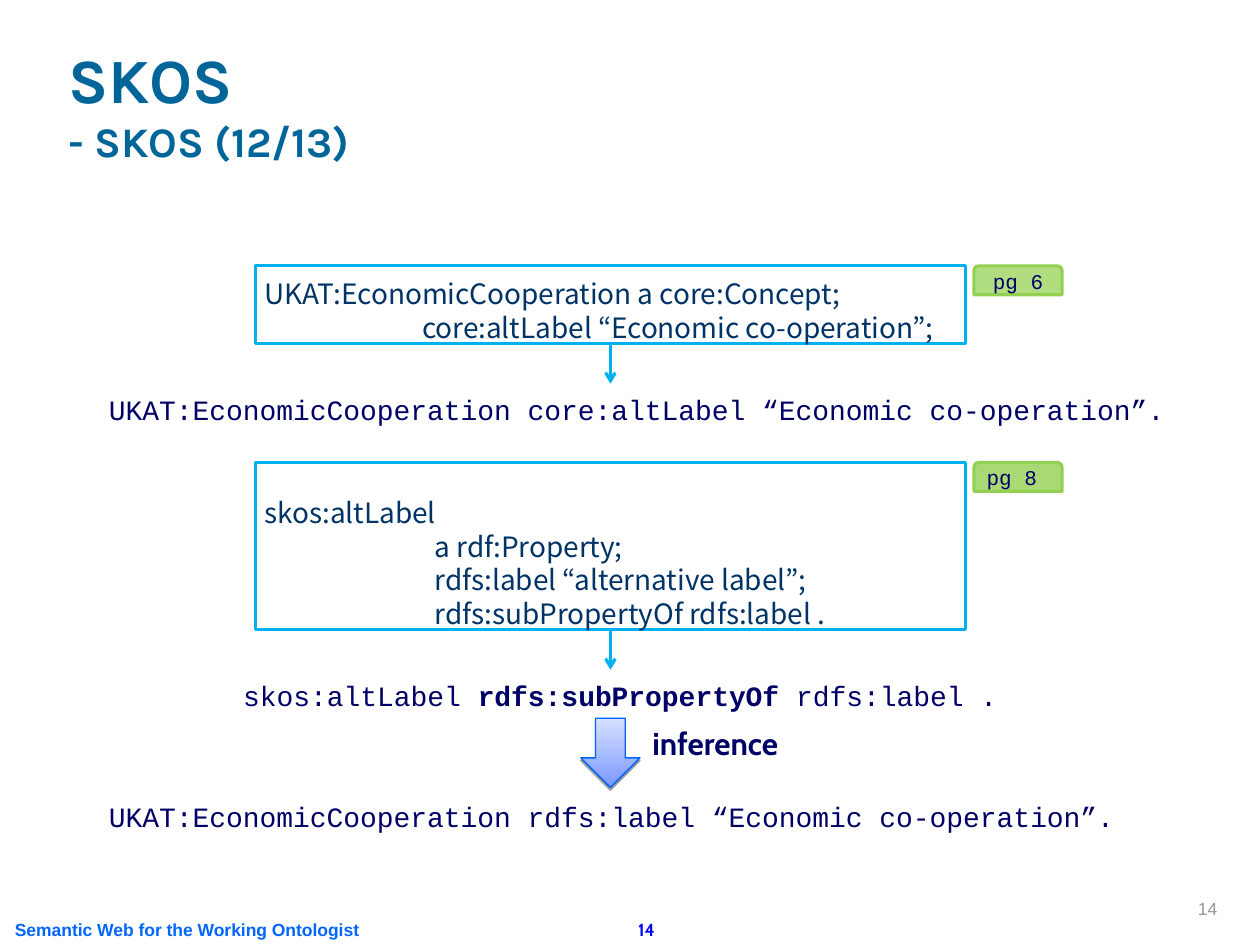
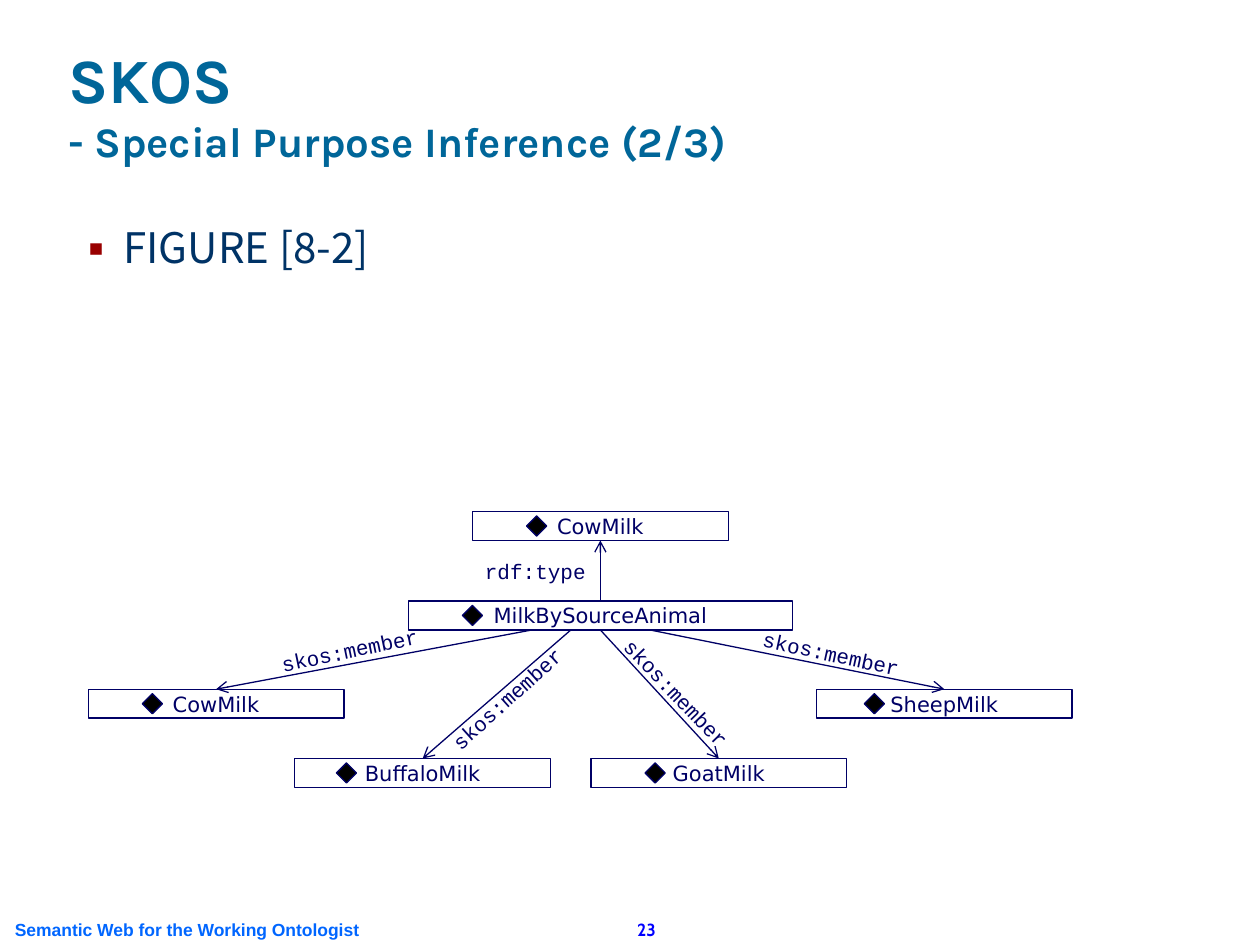
from lxml import etree
from pptx import Presentation
from pptx.dml.color import RGBColor
from pptx.enum.shapes import MSO_CONNECTOR, MSO_SHAPE as SHAPE
from pptx.enum.text import MSO_ANCHOR as ANCHOR, MSO_AUTO_SIZE as AUTO, PP_ALIGN as ALIGN
from pptx.oxml import parse_xml
from pptx.oxml.ns import nsdecls, qn
from pptx.util import Inches, Pt

# Grid: 100 columns by 75 rows, square cells
SLIDE_W, SLIDE_H = Inches(10), Inches(7.5)
CELL = SLIDE_W / 100

NAVY, TEXT, TITLE = "000066", "003366", "006699"
CYAN, GREEN, BULLET = "00B0F0", "92D050", "990000"
FOOT, NUMBER, GRAY = "0066FF", "0000FF", "969696"
HEAD, SANS, MONO = "Karla", "Noto Sans CJK KR", "Courier New"
LABEL, ACCENT, PLAIN = "DejaVu Sans", "Cabin", "Arial"
PAD = (1, 0.5, 1, 0.5)


def rgb(color):
    return RGBColor.from_string(color)


def cells(*lengths):
    return [round(n * CELL) for n in lengths]


def move(sp, box):
    sp.left, sp.top, sp.width, sp.height = cells(*box)


def add_run(p, text, font, size, color, bold=False):
    r = p.add_run()
    r.text = text
    f = r.font
    f.name, f.size, f.bold = font, Pt(size), bold
    f.color.rgb = rgb(color)


def frame(sp, anchor=ANCHOR.MIDDLE, pad=PAD, wrap=True):
    tf = sp.text_frame
    tf.word_wrap, tf.auto_size, tf.vertical_anchor = wrap, AUTO.NONE, anchor
    tf.margin_left, tf.margin_top, tf.margin_right, tf.margin_bottom = cells(*pad)
    return tf


def add_text(slide, box, runs, align=ALIGN.LEFT, anchor=ANCHOR.MIDDLE,
             pad=PAD, wrap=True, rotation=0):
    sp = slide.shapes.add_textbox(*cells(*box))
    sp.rotation = rotation
    p = frame(sp, anchor, pad, wrap).paragraphs[0]
    p.alignment = align
    for run in runs:
        add_run(p, *run)


def add_block(shapes, kind, box, line, width, fill=None):
    sp = shapes.add_shape(kind, *cells(*box))
    sp.shadow.inherit = False
    if fill:
        sp.fill.solid()
        sp.fill.fore_color.rgb = rgb(fill)
    else:
        sp.fill.background()
    sp.line.color.rgb = rgb(line)
    sp.line.width = Pt(width)
    return sp


def add_arrow(slide, start, end, color, width):
    cxn = slide.shapes.add_connector(MSO_CONNECTOR.STRAIGHT, *cells(*start, *end))
    cxn.line.color.rgb = rgb(color)
    cxn.line.width = Pt(width)
    etree.SubElement(cxn.line._get_or_add_ln(), qn("a:tailEnd"), type="arrow")
    etree.SubElement(cxn._element.spPr, qn("a:effectLst"))
    return cxn


# Shared parts
def add_page(prs, layout, subtitle, number):
    slide = prs.slides.add_slide(prs.slide_layouts[layout])
    title = slide.shapes.title
    move(title, (4.4, 1.2, 85, 12.5))
    p = frame(title, ANCHOR.BOTTOM).paragraphs[0]
    p.alignment = ALIGN.LEFT
    add_run(p, "SKOS", HEAD, 36, TITLE, True)
    p.add_line_break()
    add_run(p, subtitle, HEAD, 24, TITLE, True)
    add_footer(slide, (0.2, 72.4, 99.6, 2.7), number)
    return slide


def add_footer(slide, box, number):
    x, y, w, h = box
    add_text(slide, (x, y, 29.3, h),
             [("Semantic Web for the Working Ontologist", PLAIN, 10, FOOT, True)],
             wrap=False)
    add_text(slide, (x + 46.7, y, 8.8, h),
             [(number, ACCENT, 10, NUMBER, True)], ALIGN.CENTER)


# Code box with its page tab, and the triple that follows from it
def add_code_step(slide, box, lines, tab, result, result_x):
    x, y, w, h = box
    code = add_block(slide.shapes, SHAPE.RECTANGLE, box, CYAN, 1.75)
    tf = frame(code, ANCHOR.BOTTOM, (0.7, 0, 0, 0))
    for i, (text, indent) in enumerate(lines):
        p = tf.add_paragraph() if i else tf.paragraphs[0]
        p.alignment = ALIGN.LEFT
        p._p.get_or_add_pPr().set("marL", str(cells(indent)[0]))
        add_run(p, text, SANS, 16, TEXT)

    page, opacity, shift = tab
    sp = add_block(slide.shapes, SHAPE.ROUND_2_SAME_RECTANGLE,
                   (x + w + 0.7, y, 7, 2.3), GREEN, 1.75, GREEN)
    color = sp.fill._xPr.find(qn("a:solidFill"))[0]
    etree.SubElement(color, qn("a:alpha"), val=str(opacity * 1000))
    p = frame(sp, pad=(0, 0, shift, 0)).paragraphs[0]
    p.alignment = ALIGN.CENTER
    add_run(p, page, MONO, 12, NAVY)

    middle, bottom = x + w / 2, y + h
    cxn = add_arrow(slide, (middle, bottom), (middle, bottom + 3.15), CYAN, 1.75)
    cxn.begin_connect(code, 2)
    add_triple(slide, (result_x, bottom + 3.65, 88, 3), result)


def add_triple(slide, box, parts):
    runs = [(text, MONO, 16, NAVY, bold) for text, bold in parts]
    add_text(slide, box, runs, pad=(0, 0, 0, 0), wrap=False)


# Block arrow with its label
def add_inference(slide, box):
    x, y, w, h = box
    sp = add_block(slide.shapes, SHAPE.DOWN_ARROW, (x, y, 4.7, h), "0062FF", 0.75)
    sp.fill.gradient()
    sp.fill.gradient_angle = 90
    for stop, color in zip(sp.fill.gradient_stops, ("7898FF", "D7E0FF")):
        stop.color.rgb = rgb(color)
    sp._element.spPr.find(qn("a:effectLst")).append(parse_xml(
        f'<a:outerShdw {nsdecls("a")} blurRad="0" dist="{Pt(1.6)}" dir="5400000" '
        'rotWithShape="0"><a:srgbClr val="000000"><a:alpha val="38000"/>'
        '</a:srgbClr></a:outerShdw>'))
    add_text(slide, (x + 4.7, y, w - 4.7, 4),
             [("inference", ACCENT, 18, NAVY, True)], anchor=ANCHOR.TOP)


def build_label_slide(prs):
    slide = add_page(prs, 5, "- SKOS (12/13)", "14")
    add_text(slide, (76.8, 68.4, 20.8, 5), [("14", PLAIN, 10, GRAY)],
             ALIGN.RIGHT, ANCHOR.BOTTOM)
    add_code_step(
        slide, (20.3, 21.1, 56.3, 6.2),
        [("UKAT:EconomicCooperation a core:Concept;", 0),
         ("core:altLabel “Economic co-operation”;", 12.5)],
        ("pg 6", 72, 0),
        [("UKAT:EconomicCooperation core:altLabel “Economic co-operation”.", False)], 8.65)
    add_code_step(
        slide, (20.3, 36.7, 56.3, 13.3),
        [("skos:altLabel", 0),
         ("a rdf:Property;", 13.5),
         ("rdfs:label “alternative label”;", 13.5),
         ("rdfs:subPropertyOf rdfs:label .", 13.5)],
        ("pg 8", 79, 1),
        [("skos:altLabel ", False), ("rdfs:subPropertyOf", True),
         (" rdfs:label .", False)], 19.3)
    add_inference(slide, (46.1, 57, 21.1, 5.5))
    add_triple(slide, (8.65, 63.3, 88, 3),
               [("UKAT:EconomicCooperation rdfs:label “Economic co-operation”.", False)])


# Named box with a diamond marker
def add_node(slide, box, name, marker_dx):
    x, y, w, h = box
    group = slide.shapes.add_group_shape()
    node = add_block(group.shapes, SHAPE.RECTANGLE, box, NAVY, 0.75)
    p = frame(node, wrap=False).paragraphs[0]
    p.alignment = ALIGN.CENTER
    add_run(p, name, LABEL, 12, NAVY)
    add_block(group.shapes, SHAPE.DIAMOND, (x + marker_dx, y + 0.35, 1.6, 1.6),
              NAVY, 0.75, "000000")
    return node


def add_milk_graph(slide, box):
    x, y, w, h = box
    node_w, node_h = 20.3, 2.3

    def label(text, dx, dy, rotation=0):
        add_text(slide, (x + dx, y + dy, 18.8, 3), [(text, MONO, 12, NAVY)],
                 anchor=ANCHOR.TOP, rotation=rotation)

    # Collection and its type
    hub_x, hub_y, hub_w = x + 25.4, y + 7.1, 30.5
    hub = add_node(slide, (hub_x, hub_y, hub_w, node_h), "MilkBySourceAnimal", 4.3)
    kind = add_node(slide, (x + 30.5, y, node_w, node_h), "CowMilk", 4.3)
    cxn = add_arrow(slide, (hub_x + hub_w / 2, hub_y),
                    (x + 30.5 + node_w / 2, y + node_h), NAVY, 0.75)
    cxn.begin_connect(hub, 0)
    cxn.end_connect(kind, 2)
    label("rdf:type", 30.5, 3.2)

    # Members: name, dx, dy, marker dx, arrow start on the hub, label dx, dy, turn
    members = [
        ("CowMilk", 0, 14.1, 4.3, 9.8, 14.2, 8.9, -11.8),
        ("BuffaloMilk", 16.4, 19.6, 3.3, 12.9, 26, 11.4, -41.9),
        ("GoatMilk", 39.9, 19.6, 4.3, hub_w / 2, 39.3, 15, 46.1),
        ("SheepMilk", 57.8, 14.1, 3.8, 19.2, 52.4, 10.4, 12.3),
    ]
    for name, dx, dy, marker_dx, start, label_dx, label_dy, turn in members:
        node = add_node(slide, (x + dx, y + dy, node_w, node_h), name, marker_dx)
        cxn = add_arrow(slide, (hub_x + start, hub_y + node_h),
                        (x + dx + node_w / 2, y + dy), NAVY, 0.75)
        if start == hub_w / 2:
            cxn.begin_connect(hub, 2)
        cxn.end_connect(node, 0)
        label("skos:member", label_dx, label_dy, turn)


def add_bullets(slide, box, items):
    body = slide.placeholders[1]
    move(body, box)
    tf = frame(body, ANCHOR.TOP)
    for i, item in enumerate(items):
        p = tf.add_paragraph() if i else tf.paragraphs[0]
        pPr = p._p.get_or_add_pPr()
        indent = cells(3.8)[0]
        pPr.set("marL", str(indent))
        pPr.set("indent", str(-indent))
        color = etree.SubElement(pPr, qn("a:buClr"))
        etree.SubElement(color, qn("a:srgbClr"), val=BULLET)
        etree.SubElement(pPr, qn("a:buFont"), typeface=SANS)
        etree.SubElement(pPr, qn("a:buChar"), char="▪")
        p.line_spacing = 0.9
        p.space_before = Pt(6 if i else 0)
        add_run(p, item, SANS, 24, TEXT)


def build_figure_slide(prs):
    slide = add_page(prs, 1, "- Special Purpose Inference (2/3)", "23")
    add_bullets(slide, (5, 17.5, 89.4, 48.8), ["FIGURE [8-2]"])
    add_milk_graph(slide, (7, 40.6, 78.1, 21.9))


def main():
    prs = Presentation()
    prs.slide_width, prs.slide_height = SLIDE_W, SLIDE_H
    build_label_slide(prs)
    build_figure_slide(prs)
    prs.save("out.pptx")


if __name__ == "__main__":
    main()
